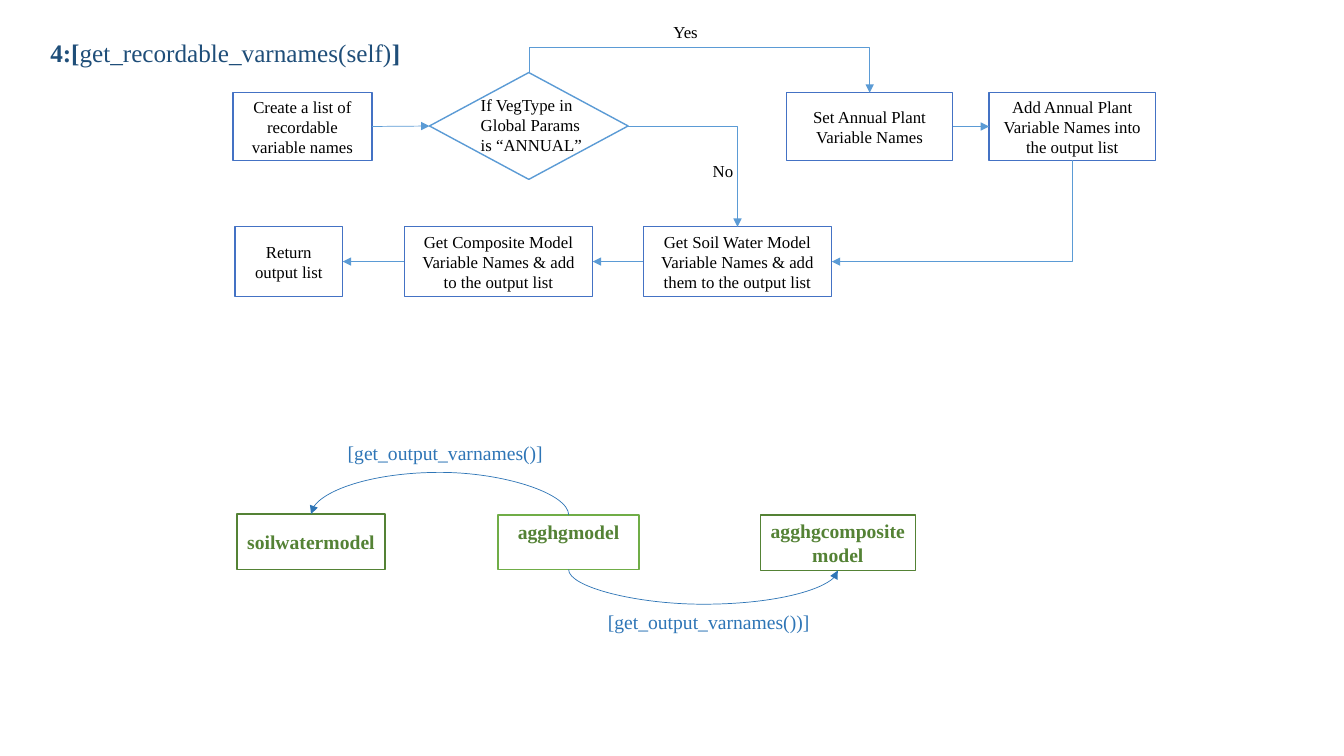
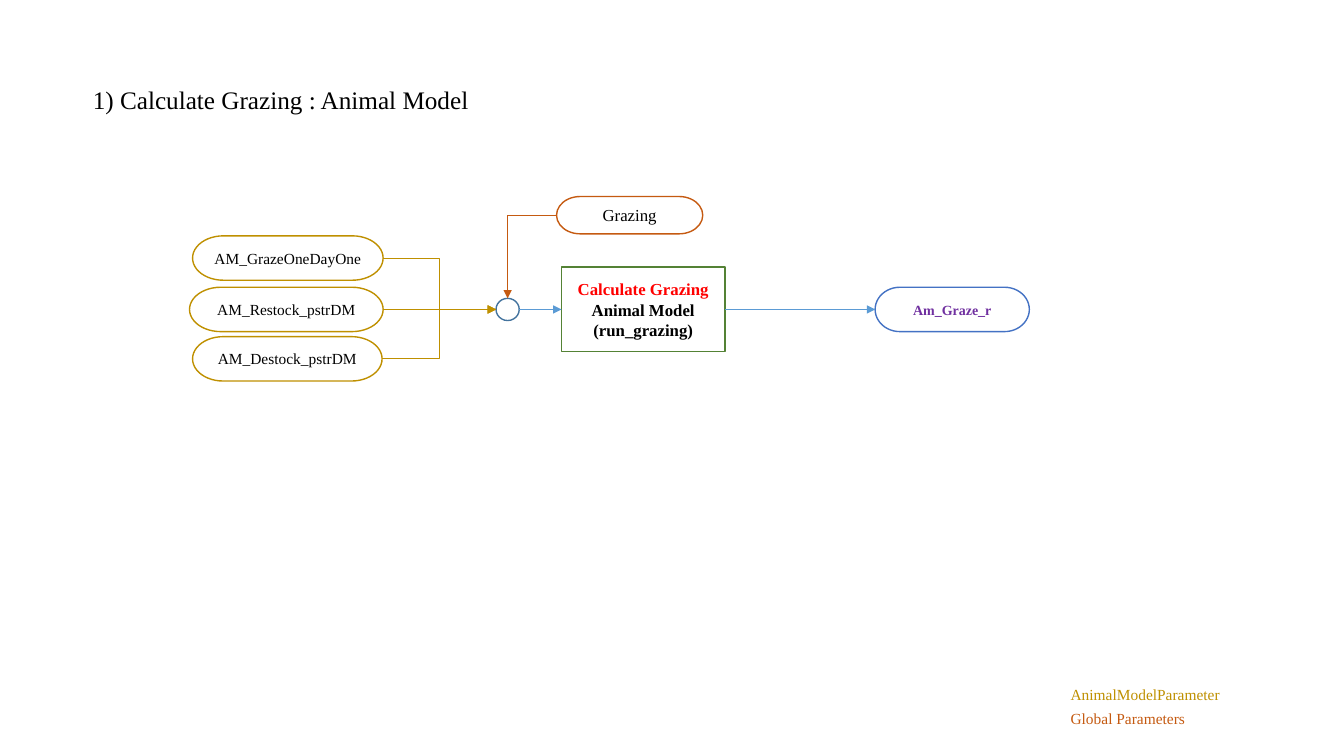
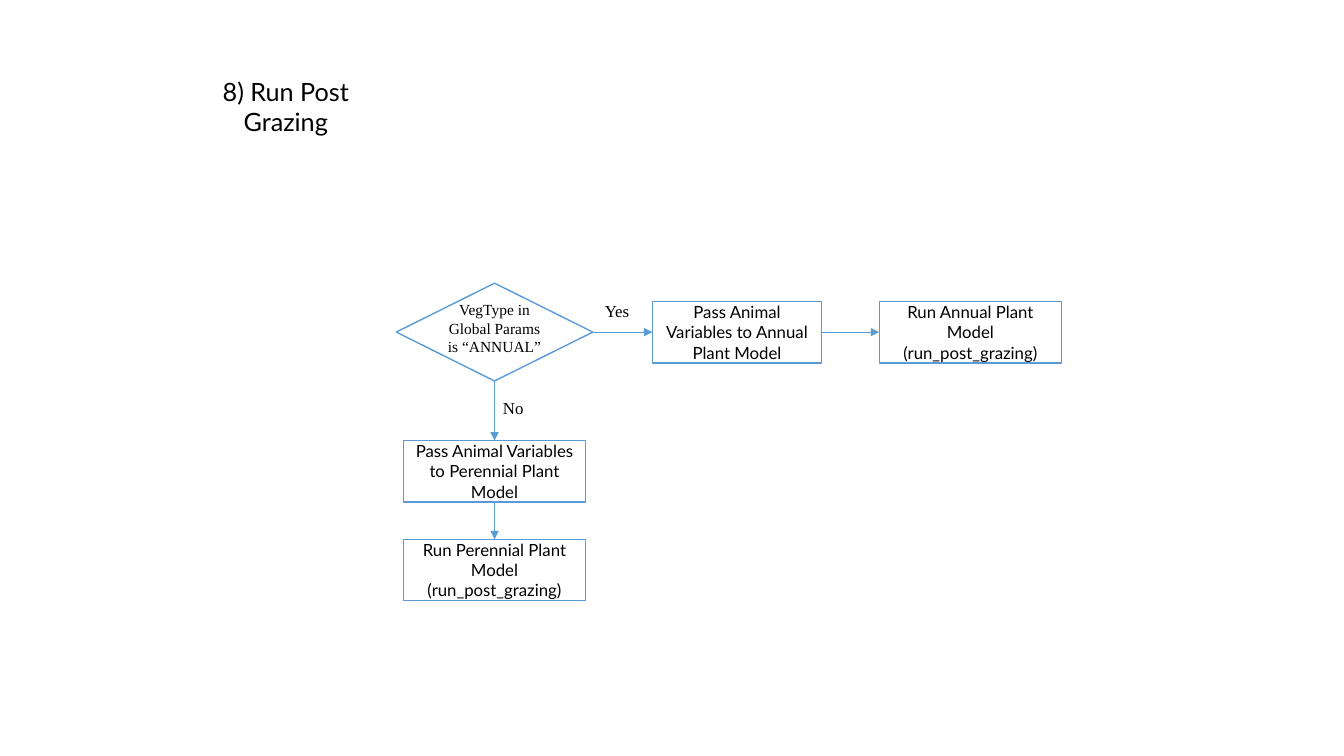
from dataclasses import dataclass
from enum import IntEnum

from pptx import Presentation
from pptx.dml.color import RGBColor
from pptx.enum.shapes import MSO_CONNECTOR as Route, MSO_SHAPE as Preset
from pptx.enum.text import MSO_ANCHOR as Anchor, MSO_AUTO_SIZE as AutoSize, PP_ALIGN as Align
from pptx.oxml.ns import qn
from pptx.oxml.xmlchemy import OxmlElement
from pptx.util import Inches, Pt


@dataclass(frozen=True)
class Theme:
    serif: str = "Times New Roman"
    sans: str = "Lato"
    black: str = "000000"
    white: str = "FFFFFF"
    red: str = "FF0000"
    purple: str = "7030A0"
    blue: str = "4472C4"
    sky: str = "5B9BD5"
    steel: str = "43739E"
    mid_blue: str = "2E75B6"
    navy: str = "1F4E79"
    green: str = "548235"
    light_green: str = "70AD47"
    orange: str = "C55A11"
    gold: str = "BF9000"
    title: int = 18
    model: int = 14
    body: int = 12
    small: int = 11
    result: int = 10
    outline: float = 1
    arrow: float = 0.5


THEME = Theme()


class Side(IntEnum):
    """Connection sites of a four-sided shape."""
    TOP = 0
    LEFT = 1
    BOTTOM = 2
    RIGHT = 3


def write_text(frame, lines, size=THEME.body, color=THEME.black, bold=False,
               font=THEME.serif, align=Align.CENTER):
    frame.text = "\n".join(lines)
    for para in frame.paragraphs:
        para.alignment = align
        for span in para.runs:
            span.font.name = font
            span.font.size = Pt(size)
            span.font.bold = bold
            span.font.color.rgb = RGBColor.from_string(color)


def add_node(slide, at, outline, lines=(), preset=Preset.RECTANGLE,
             anchor=Anchor.MIDDLE, filled=True, **style):
    node = slide.shapes.add_shape(preset, *map(Inches, at))
    node.shadow.inherit = False
    if filled:
        node.fill.solid()
        node.fill.fore_color.rgb = RGBColor.from_string(THEME.white)
    else:
        node.fill.background()
    node.line.color.rgb = RGBColor.from_string(outline)
    node.line.width = Pt(THEME.outline)
    if lines:
        node.text_frame.word_wrap = True
        node.text_frame.vertical_anchor = anchor
        write_text(node.text_frame, lines, **style)
    return node


def add_label(slide, at, lines, align=Align.LEFT, wrap=False, **style):
    label = slide.shapes.add_textbox(*map(Inches, at))
    label.text_frame.word_wrap = wrap
    label.text_frame.auto_size = AutoSize.SHAPE_TO_FIT_TEXT
    write_text(label.text_frame, lines, align=align, **style)
    return label


def site_point(shape, side):
    across = {Side.LEFT: 0, Side.RIGHT: shape.width}.get(side, shape.width // 2)
    down = {Side.TOP: 0, Side.BOTTOM: shape.height}.get(side, shape.height // 2)
    return shape.left + across, shape.top + down


def turn_upright(connector, start, end):
    """Rotate a connector so that it leaves its start vertically."""
    (x1, y1), (x2, y2) = start, end
    span_x, span_y = abs(x2 - x1), abs(y2 - y1)
    connector.left = (x1 + x2 - span_y) // 2
    connector.top = (y1 + y2 - span_x) // 2
    connector.width, connector.height = span_y, span_x
    rightward, downward = x2 > x1, y2 > y1
    connector.rotation = 90 if downward and not rightward else 270
    xfrm = connector._element.spPr.find(qn("a:xfrm"))
    xfrm.set("flipH", str(int(rightward and downward)))
    xfrm.set("flipV", str(int(not rightward and not downward)))


def set_bend(geometry, ratio):
    guide = OxmlElement("a:gd")
    guide.set("name", "adj1")
    guide.set("fmla", f"val {round(ratio * 100000)}")
    geometry.find(qn("a:avLst")).append(guide)


def link(slide, start, start_side, end, end_side, color=THEME.sky,
         route=Route.STRAIGHT, bend_y=None):
    """Glue an arrow between two shapes; bend_y is the height of its middle part."""
    begin, finish = site_point(start, start_side), site_point(end, end_side)
    connector = slide.shapes.add_connector(route, *begin, *finish)
    connector.begin_connect(start, start_side)
    connector.end_connect(end, end_side)
    for shape, side, tag in ((start, start_side, "a:stCxn"), (end, end_side, "a:endCxn")):
        if shape.auto_shape_type == Preset.OVAL:  # an oval has eight sites
            connector._element.find(".//" + qn(tag)).set("idx", str(side * 2))

    properties = connector._element.spPr
    geometry = properties.find(qn("a:prstGeom"))
    leaves_upright = start_side in (Side.TOP, Side.BOTTOM)
    if route != Route.STRAIGHT:
        if leaves_upright:
            turn_upright(connector, begin, finish)
        if leaves_upright != (end_side in (Side.TOP, Side.BOTTOM)):
            geometry.set("prst", "bentConnector2")
    if bend_y is not None:
        set_bend(geometry, (Inches(bend_y) - begin[1]) / (finish[1] - begin[1]))

    connector.line.color.rgb = RGBColor.from_string(color)
    connector.line.width = Pt(THEME.arrow)
    arrowhead = OxmlElement("a:tailEnd")
    arrowhead.set("type", "triangle")
    connector.line._get_or_add_ln().append(arrowhead)
    properties.append(OxmlElement("a:effectLst"))


def build_varnames_slide(slide):
    title = add_label(slide, (0.4, 0.32, 3.82, 0.4), ["4:["],
                      size=THEME.title, color=THEME.navy, bold=True)
    para = title.text_frame.paragraphs[0]
    for text, bold in (("get_recordable_varnames(self)", False), ("]", True)):
        span = para.add_run()
        span.text = text
        span.font.name, span.font.size, span.font.bold = THEME.serif, Pt(THEME.title), bold
        span.font.color.rgb = RGBColor.from_string(THEME.navy)

    top, step_height = 0.92, 0.67
    lower, lower_height = 2.25, 0.69

    def step(left, width, text, y=top, height=step_height):
        return add_node(slide, (left, y, width, height), THEME.blue, [text])

    create = step(2.31, 1.38, "Create a list of recordable variable names")
    set_names = step(7.8, 1.65, "Set Annual Plant Variable Names")
    add_names = step(9.81, 1.65, "Add Annual Plant Variable Names into the output list")
    soil = step(6.38, 1.87, "Get Soil Water Model Variable Names & add them to the output list",
                lower, lower_height)
    composite = step(4.01, 1.87, "Get Composite Model Variable Names & add to the output list",
                     lower, lower_height)
    finish = step(2.33, 1.07, "Return output list", lower, lower_height)
    decision = add_node(slide, (4.26, 0.72, 1.97, 1.06), THEME.sky, preset=Preset.FLOWCHART_DECISION)
    add_label(slide, (4.67, 0.89, 1.24, 0.71), ["If VegType in", "Global Params", "is “ANNUAL”"])
    add_label(slide, (6.58, 0.17, 0.45, 0.3), ["Yes"])
    add_label(slide, (6.97, 1.55, 0.41, 0.3), ["No"])

    link(slide, create, Side.RIGHT, decision, Side.LEFT)
    link(slide, decision, Side.TOP, set_names, Side.TOP, route=Route.ELBOW, bend_y=0.47)
    link(slide, decision, Side.RIGHT, soil, Side.TOP, route=Route.ELBOW)
    link(slide, set_names, Side.RIGHT, add_names, Side.LEFT)
    link(slide, add_names, Side.BOTTOM, soil, Side.RIGHT, route=Route.ELBOW)
    link(slide, soil, Side.LEFT, composite, Side.RIGHT)
    link(slide, composite, Side.LEFT, finish, Side.RIGHT)

    model_style = dict(size=THEME.model, color=THEME.green, bold=True)
    main_model = add_node(slide, (4.94, 5.11, 1.4, 0.54), THEME.light_green, ["agghgmodel"],
                          anchor=Anchor.TOP, **model_style)
    soil_model = add_node(slide, (2.35, 5.1, 1.47, 0.55), THEME.green, ["soilwatermodel"],
                          **model_style)
    composite_model = add_node(slide, (7.54, 5.11, 1.54, 0.55), THEME.green,
                               ["agghgcompositemodel"], **model_style)
    call_style = dict(size=THEME.model, color=THEME.mid_blue)
    add_label(slide, (3.35, 4.33, 2.15, 0.34), ["[get_output_varnames()]"], **call_style)
    add_label(slide, (5.93, 6, 2.2, 0.34), ["[get_output_varnames())]"], **call_style)
    link(slide, main_model, Side.TOP, soil_model, Side.TOP, THEME.mid_blue, Route.CURVE, 4.68)
    link(slide, main_model, Side.BOTTOM, composite_model, Side.BOTTOM, THEME.mid_blue, Route.CURVE, 6)


def build_grazing_slide(slide):
    add_label(slide, (0.78, 0.79, 4.01, 0.4), ["1) Calculate Grazing : Animal Model"],
              align=Align.CENTER, size=THEME.title)
    pill = Preset.FLOWCHART_TERMINATOR
    process = add_node(slide, (5.57, 2.65, 1.62, 0.84), THEME.green,
                       ["Calculate Grazing", "Animal Model", "(run_grazing)"], bold=True)
    heading = process.text_frame.paragraphs[0].runs[0]
    heading.font.color.rgb = RGBColor.from_string(THEME.red)
    grazing = add_node(slide, (5.52, 1.95, 1.45, 0.37), THEME.orange, ["Grazing"], pill)
    junction = add_node(slide, (4.92, 2.96, 0.23, 0.22), THEME.steel,
                        preset=Preset.OVAL, filled=False)
    result = add_node(slide, (8.68, 2.85, 1.53, 0.44), THEME.blue, ["Am_Graze_r"], pill,
                      size=THEME.result, color=THEME.purple, bold=True)

    link(slide, grazing, Side.LEFT, junction, Side.TOP, THEME.orange, Route.ELBOW)
    link(slide, junction, Side.RIGHT, process, Side.LEFT)
    link(slide, process, Side.RIGHT, result, Side.LEFT)
    for left, top, width, name, route in (
        (1.91, 2.34, 1.89, "AM_GrazeOneDayOne", Route.ELBOW),
        (1.88, 2.85, 1.92, "AM_Restock_pstrDM", Route.STRAIGHT),
        (1.91, 3.34, 1.88, "AM_Destock_pstrDM", Route.ELBOW),
    ):
        parameter = add_node(slide, (left, top, width, 0.44), THEME.gold, [name], pill,
                             size=THEME.small)
        link(slide, parameter, Side.RIGHT, junction, Side.LEFT, THEME.gold, route)

    for top, text, color in ((6.75, "AnimalModelParameter", THEME.gold),
                             (6.99, "Global Parameters", THEME.orange)):
        add_label(slide, (10.52, top, 2.03, 0.29), [text], wrap=True,
                  size=THEME.small, color=color)


def build_post_grazing_slide(slide):
    add_label(slide, (1.67, 0.71, 2.33, 0.7), ["8) Run Post", "Grazing"],
              align=Align.CENTER, size=THEME.title, font=THEME.sans)

    def step(left, top, width, *lines):
        return add_node(slide, (left, top, width, 0.61), THEME.sky, lines, font=THEME.sans)

    decision = add_node(slide, (3.93, 2.81, 1.95, 0.97), THEME.sky, preset=Preset.FLOWCHART_DECISION)
    add_label(slide, (4.33, 2.93, 1.15, 0.64), ["VegType in", "Global Params", "is “ANNUAL”"],
              align=Align.CENTER, size=THEME.small)
    pass_annual = step(6.47, 2.99, 1.68, "Pass Animal Variables to Annual Plant Model")
    run_annual = step(8.72, 2.99, 1.81, "Run Annual Plant Model", "(run_post_grazing)")
    pass_perennial = step(4, 4.37, 1.81, "Pass Animal Variables to Perennial Plant Model")
    run_perennial = step(4, 5.35, 1.81, "Run Perennial Plant Model", "(run_post_grazing)")
    add_label(slide, (5.9, 2.93, 0.45, 0.3), ["Yes"])
    add_label(slide, (4.89, 3.9, 0.41, 0.3), ["No"])

    for start, end in ((decision, pass_annual), (pass_annual, run_annual)):
        link(slide, start, Side.RIGHT, end, Side.LEFT)
    for start, end in ((decision, pass_perennial), (pass_perennial, run_perennial)):
        link(slide, start, Side.BOTTOM, end, Side.TOP)


def main():
    deck = Presentation()
    deck.slide_width, deck.slide_height = Inches(13.33), Inches(7.5)
    blank = deck.slide_layouts[6]
    for build in (build_varnames_slide, build_grazing_slide, build_post_grazing_slide):
        build(deck.slides.add_slide(blank))
    deck.save("out.pptx")


if __name__ == "__main__":
    main()
